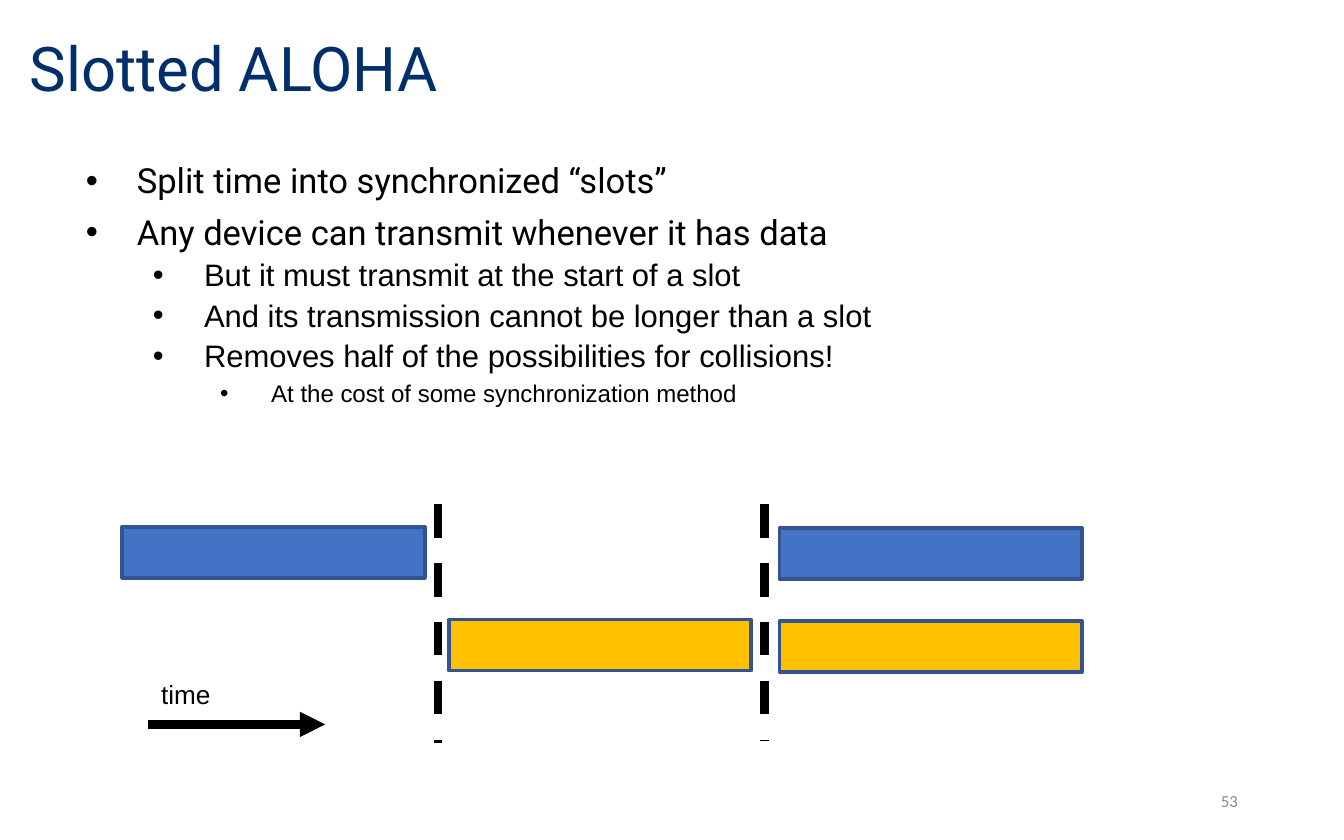
from dataclasses import dataclass

from lxml import etree
from pptx import Presentation
from pptx.dml.color import RGBColor
from pptx.enum import dml, shapes, text
from pptx.oxml import ns
from pptx.util import Inches, Pt


@dataclass(frozen=True)
class Theme:
    navy: str = "002F6C"
    black: str = "000000"
    blue: str = "4472C4"
    amber: str = "FFC000"
    outline: str = "325491"
    gray: str = "888888"
    heading: str = "Roboto"
    body: str = "Arial"
    number: str = "Calibri"
    title_size: float = 33
    level_sizes: tuple = (18.5, 16.6, 12.9)
    label_size: float = 14
    number_size: float = 9
    outline_width: float = 2
    stroke_width: float = 4.5


class SlideBuilder:
    def __init__(self, slide, theme):
        self.slide = slide
        self.theme = theme

    def run(self, p, words, size, font, color):
        r = p.add_run()
        r.text = words
        r.font.size = Pt(size)
        r.font.name = font
        r.font.color.rgb = RGBColor.from_string(color)

    def frame(self, sp, anchor):
        tf = sp.text_frame
        tf.word_wrap = True
        tf.auto_size = text.MSO_AUTO_SIZE.NONE
        tf.vertical_anchor = anchor
        tf.margin_left = tf.margin_right = Inches(0.1)
        tf.margin_top = tf.margin_bottom = Inches(0.05)
        return tf

    def title(self, words, x, y, w, h):
        sp = self.slide.shapes.title
        sp.left, sp.top, sp.width, sp.height = map(Inches, (x, y, w, h))
        p = self.frame(sp, text.MSO_ANCHOR.MIDDLE).paragraphs[0]
        p.alignment = text.PP_ALIGN.LEFT
        p.line_spacing = 0.9
        self.run(p, words, self.theme.title_size, self.theme.heading, self.theme.navy)

    def box(self, x, y, w, h, anchor=text.MSO_ANCHOR.TOP):
        sp = self.slide.shapes.add_textbox(*map(Inches, (x, y, w, h)))
        return self.frame(sp, anchor)

    def label(self, words, x, y, w, h, size, font, color,
              align=text.PP_ALIGN.LEFT, anchor=text.MSO_ANCHOR.TOP):
        p = self.box(x, y, w, h, anchor).paragraphs[0]
        p.alignment = align
        self.run(p, words, size, font, color)

    def bullets(self, items, x, y, w, h):
        tf = self.box(x, y, w, h)
        for i, (level, words) in enumerate(items):
            p = tf.add_paragraph() if i else tf.paragraphs[0]
            p.level = level
            pPr = p._p.get_or_add_pPr()
            pPr.set("marL", str(Inches(0.5 * (level + 1))))
            pPr.set("indent", str(Inches(-0.38)))
            color = etree.SubElement(pPr, ns.qn("a:buClr"))
            etree.SubElement(color, ns.qn("a:srgbClr"), val=self.theme.black)
            etree.SubElement(pPr, ns.qn("a:buFont"), typeface=self.theme.body)
            etree.SubElement(pPr, ns.qn("a:buChar"), char="•")
            p.line_spacing = 0.9
            if i:
                p.space_before = Pt(3.8 if level else 7.5)
            font = self.theme.body if level else self.theme.heading
            self.run(p, words, self.theme.level_sizes[level], font, self.theme.black)

    def packet(self, x, y, color):
        sp = self.slide.shapes.add_shape(
            shapes.MSO_SHAPE.RECTANGLE, *map(Inches, (x, y, 2.25, 0.38)))
        sp.shadow.inherit = False
        sp.fill.solid()
        sp.fill.fore_color.rgb = RGBColor.from_string(color)
        sp.line.color.rgb = RGBColor.from_string(self.theme.outline)
        sp.line.width = Pt(self.theme.outline_width)

    def line(self, x1, y1, x2, y2, dashed=False, arrow=False):
        cn = self.slide.shapes.add_connector(
            shapes.MSO_CONNECTOR.STRAIGHT, *map(Inches, (x1, y1, x2, y2)))
        cn.line.color.rgb = RGBColor.from_string(self.theme.black)
        cn.line.width = Pt(self.theme.stroke_width)
        if dashed:
            cn.line.dash_style = dml.MSO_LINE.DASH
        if arrow:
            etree.SubElement(cn.line._get_or_add_ln(), ns.qn("a:tailEnd"), type="triangle")
        etree.SubElement(cn._element.spPr, ns.qn("a:effectLst"))


def main():
    theme = Theme()
    prs = Presentation()
    prs.slide_width, prs.slide_height = Inches(10), Inches(6.25)
    s = SlideBuilder(prs.slides.add_slide(prs.slide_layouts[5]), theme)

    s.title("Slotted ALOHA", 0.12, 0.1, 8.52, 0.86)
    s.bullets([
        (0, "Split time into synchronized “slots”"),
        (0, "Any device can transmit whenever it has data"),
        (1, "But it must transmit at the start of a slot"),
        (1, "And its transmission cannot be longer than a slot"),
        (1, "Removes half of the possibilities for collisions!"),
        (2, "At the cost of some synchronization method"),
    ], 0.42, 1.17, 9, 2.2)
    s.label("53", 7.06, 5.79, 2.25, 0.33, theme.number_size, theme.number, theme.gray,
            text.PP_ALIGN.RIGHT, text.MSO_ANCHOR.MIDDLE)

    for x, y, color in [(0.91, 3.92, theme.blue), (3.34, 4.61, theme.amber),
                        (5.8, 4.62, theme.amber), (5.8, 3.93, theme.blue)]:
        s.packet(x, y, color)
    for x, bottom in [(3.26, 5.53), (5.69, 5.51)]:
        s.line(x, 3.75, x, bottom, dashed=True)
    s.line(1.1, 5.39, 2.42, 5.39, arrow=True)
    s.label("time", 1.1, 5, 1.07, 0.34, theme.label_size, theme.body, theme.black)

    prs.save("out.pptx")


if __name__ == "__main__":
    main()
